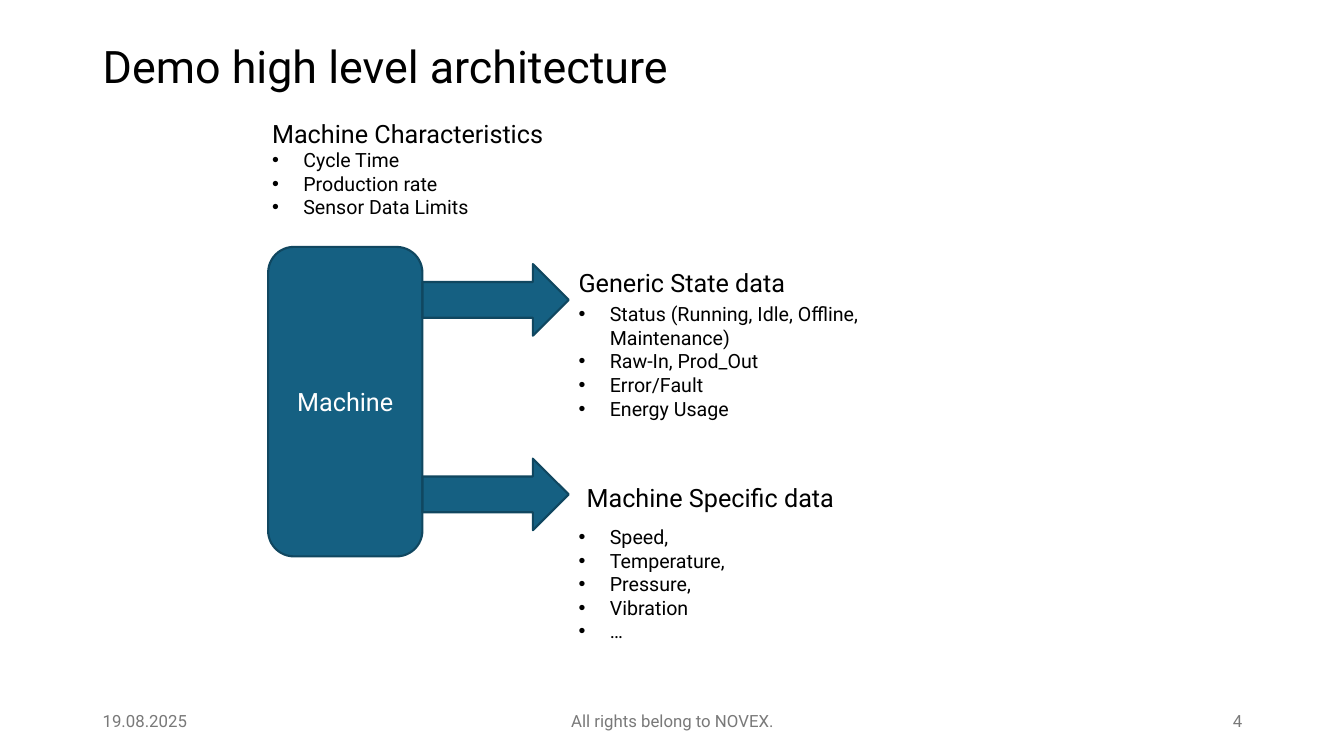
from pptx import Presentation
from pptx.dml.color import RGBColor
from pptx.enum.shapes import MSO_SHAPE as Shape
from pptx.enum.text import MSO_ANCHOR as Anchor, PP_ALIGN as Align
from pptx.util import Inches, Pt
from lxml.etree import SubElement
from pptx.oxml.ns import qn
from dataclasses import dataclass


@dataclass(frozen=True)
class Theme:
    font: str = "Roboto"
    ink: str = "000000"
    muted: str = "797979"
    light: str = "FFFFFF"
    fill: str = "156082"
    outline: str = "104760"
    title: int = 32
    heading: int = 18
    body: int = 14
    footer: int = 12


class SlideBuilder:
    def __init__(self, slide, theme):
        self.slide = slide
        self.theme = theme

    def add_text(self, paragraph, text, size, color):
        run = paragraph.add_run()
        run.text = text
        run.font.name = self.theme.font
        run.font.size = Pt(size)
        run.font.color.rgb = RGBColor.from_string(color)

    def bullet(self, paragraph):
        properties = paragraph._p.get_or_add_pPr()
        properties.set("marL", str(Inches(0.31)))
        properties.set("indent", str(Inches(-0.31)))
        SubElement(properties, qn("a:buFont"), typeface="Arial")
        SubElement(properties, qn("a:buChar"), char="•")

    def text_frame(self, box, anchor=Anchor.TOP, wrap=True):
        frame = self.slide.shapes.add_textbox(*map(Inches, box)).text_frame
        frame.word_wrap = wrap
        frame.vertical_anchor = anchor
        return frame

    def label(self, box, text, size, color, align=Align.LEFT, spacing=1.0):
        paragraph = self.text_frame(box, Anchor.MIDDLE).paragraphs[0]
        paragraph.alignment = align
        paragraph.line_spacing = spacing
        self.add_text(paragraph, text, size, color)

    def heading(self, box, text):
        frame = self.text_frame(box, wrap=False)
        self.add_text(frame.paragraphs[0], text, self.theme.heading, self.theme.ink)

    def bullets(self, box, items, heading=None):
        frame = self.text_frame(box)
        paragraph = frame.paragraphs[0]
        if heading:
            self.add_text(paragraph, heading, self.theme.heading, self.theme.ink)
        for index, item in enumerate(items):
            if index or heading:
                paragraph = frame.add_paragraph()
            self.bullet(paragraph)
            self.add_text(paragraph, item, self.theme.body, self.theme.ink)

    def block(self, kind, box, text=None):
        block = self.slide.shapes.add_shape(kind, *map(Inches, box))
        block.shadow.inherit = False
        block.fill.solid()
        block.fill.fore_color.rgb = RGBColor.from_string(self.theme.fill)
        block.line.color.rgb = RGBColor.from_string(self.theme.outline)
        block.line.width = Pt(1.5)
        if text:
            block.text_frame.vertical_anchor = Anchor.MIDDLE
            paragraph = block.text_frame.paragraphs[0]
            paragraph.alignment = Align.CENTER
            self.add_text(paragraph, text, self.theme.heading, self.theme.light)


def main():
    deck = Presentation()
    deck.slide_width, deck.slide_height = Inches(13.33), Inches(7.5)
    theme = Theme()
    page = SlideBuilder(deck.slides.add_slide(deck.slide_layouts[6]), theme)

    # Title
    page.label((0.92, 0.4, 11.5, 0.57), "Demo high level architecture",
               theme.title, theme.ink, spacing=0.9)

    # Footer
    for left, width, text, align in (
        (0.92, 3, "19.08.2025", Align.LEFT),
        (4.42, 4.5, "All rights belong to NOVEX.", Align.CENTER),
        (9.42, 3, "4", Align.RIGHT),
    ):
        page.label((left, 6.95, width, 0.4), text, theme.footer, theme.muted, align)

    # Machine and its outgoing data arrows
    page.block(Shape.ROUNDED_RECTANGLE, (2.66, 2.45, 1.53, 3.07), "Machine")
    for arrow_top in (2.62, 4.55):
        page.block(Shape.RIGHT_ARROW, (4.19, arrow_top, 1.45, 0.71))

    # Machine characteristics
    page.bullets((2.6, 1.12, 5.62, 1.11),
                 ("Cycle Time", "Production rate", "Sensor Data Limits"),
                 heading="Machine Characteristics")

    # Generic state data
    page.heading((5.64, 2.6, 2.28, 0.4), "Generic State data")
    page.bullets((5.64, 2.95, 3.1, 1.28),
                 ("Status (Running, Idle, Offline, Maintenance)",
                  "Raw-In, Prod_Out", "Error/Fault", "Energy Usage"))

    # Machine specific data
    page.heading((5.72, 4.74, 2.66, 0.4), "Machine Specific data")
    page.bullets((5.64, 5.16, 5.62, 1.28),
                 ("Speed,", "Temperature,", "Pressure,", "Vibration", "…"))

    deck.save("out.pptx")


if __name__ == "__main__":
    main()
